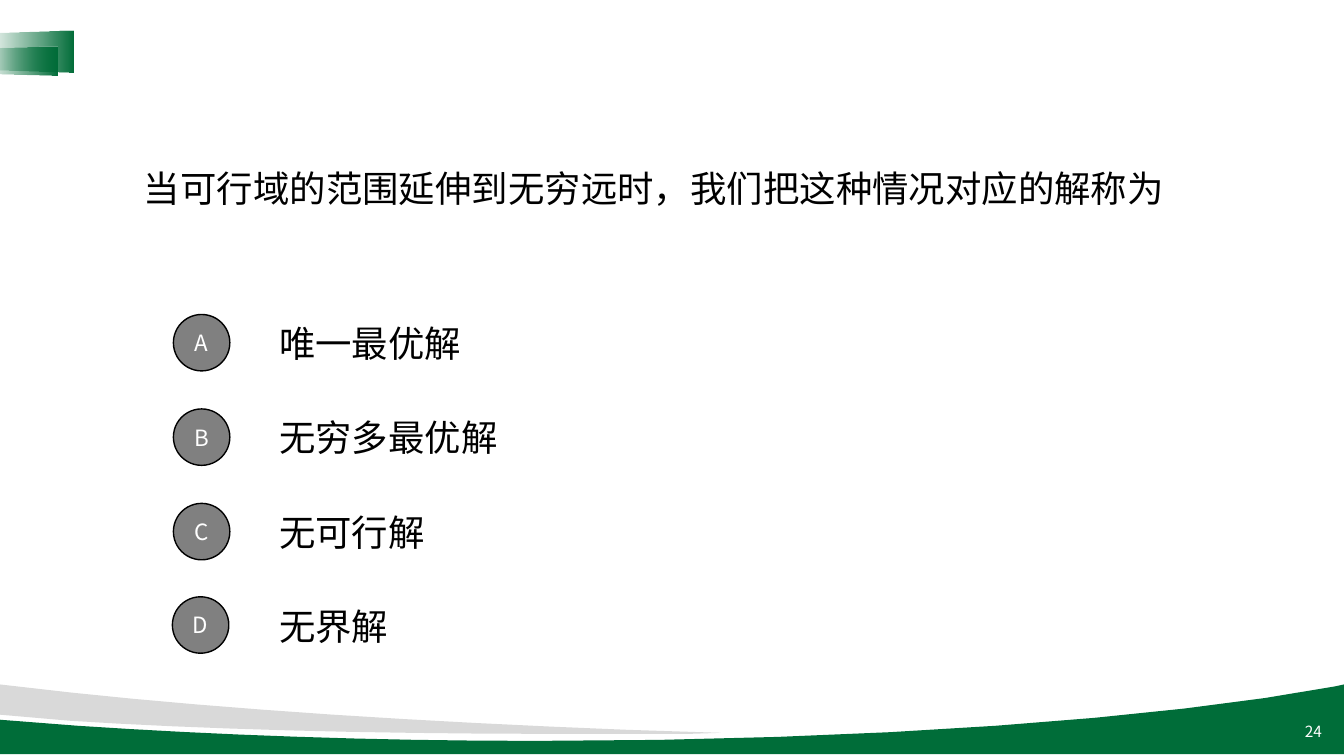
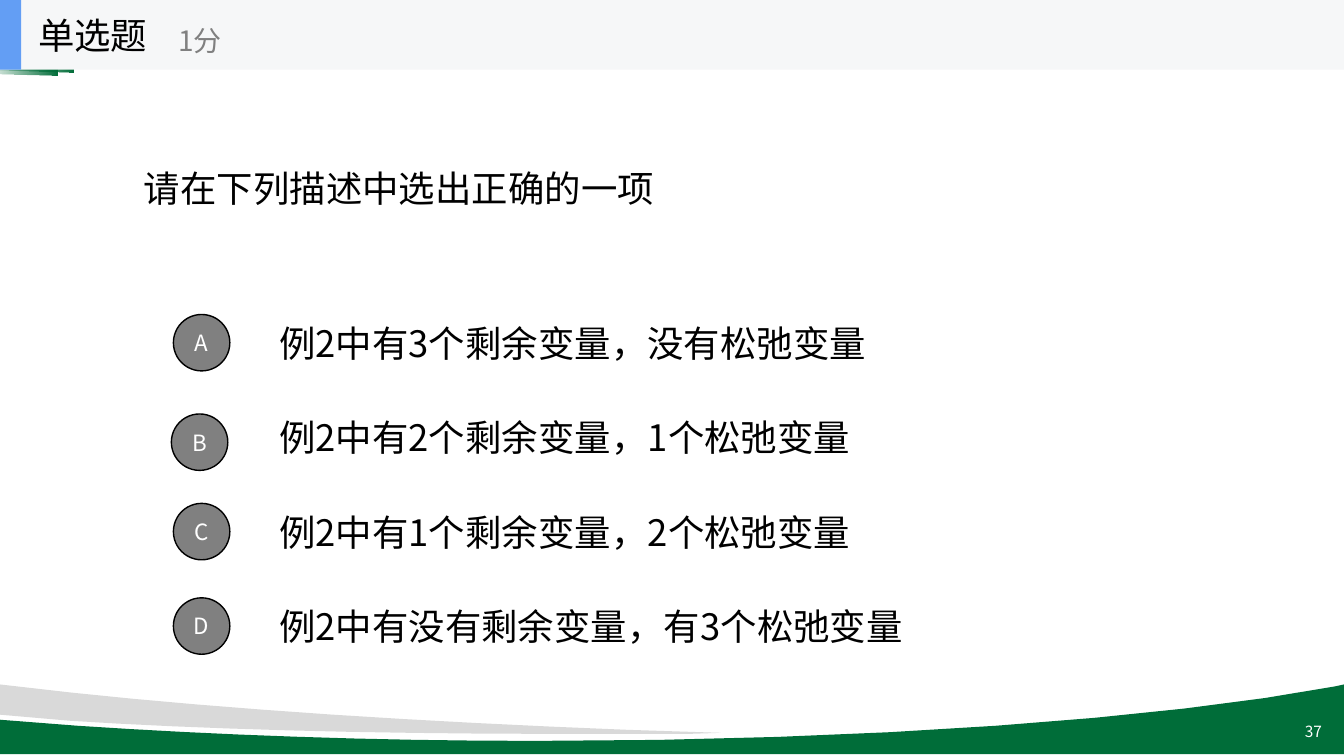
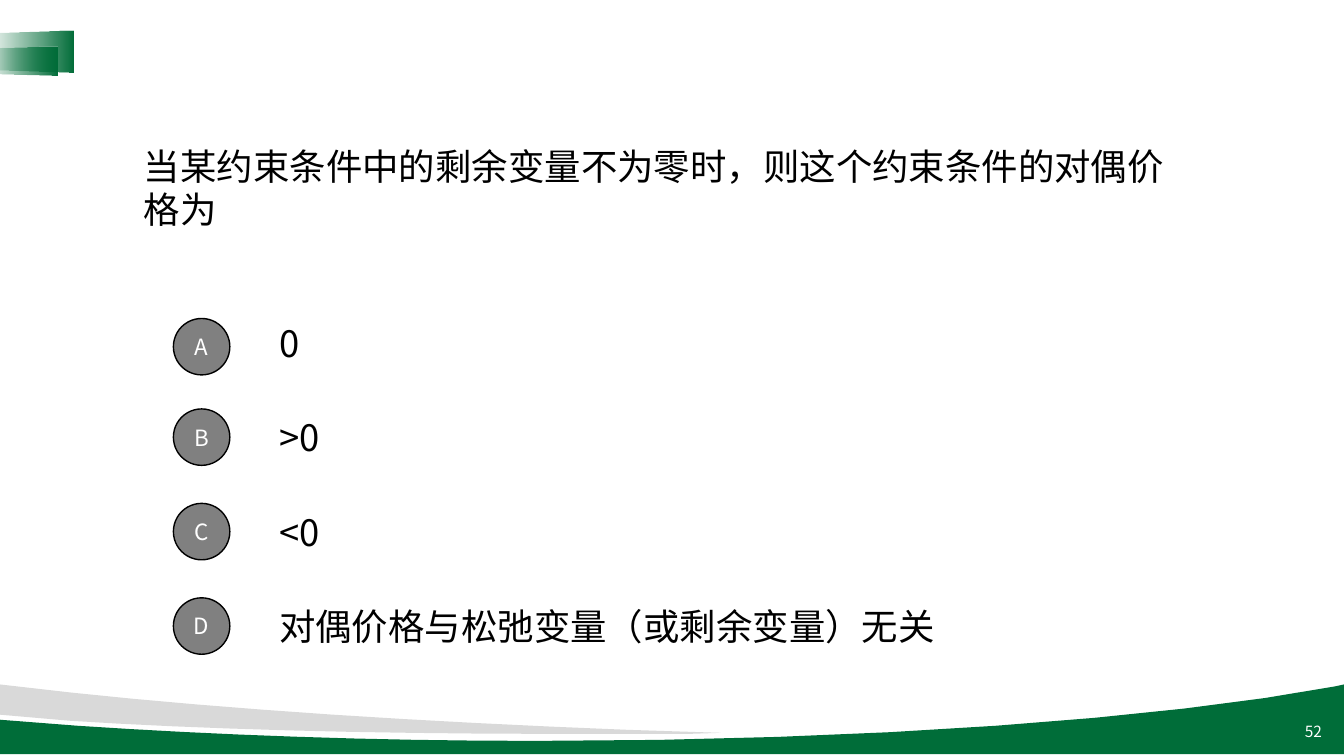
import lxml.etree
import pptx
import pptx.dml.color
import pptx.enum.shapes
import pptx.enum.text
import pptx.oxml.ns
import pptx.util

Inches = pptx.util.Inches
RGBColor = pptx.dml.color.RGBColor
SHAPE = pptx.enum.shapes.MSO_SHAPE
ALIGN = pptx.enum.text.PP_ALIGN
ANCHOR = pptx.enum.text.MSO_ANCHOR
qn = pptx.oxml.ns.qn

FONT = "Noto Sans CJK SC"
GREEN = RGBColor(0x00, 0x6D, 0x39)
SILVER = RGBColor(0xD9, 0xD9, 0xD9)
GRAY = RGBColor(0x80, 0x80, 0x80)
PALE = RGBColor(0xF6, 0xF7, 0xF8)
BLUE = RGBColor(0x63, 0x9E, 0xF4)
BLACK = RGBColor(0x00, 0x00, 0x00)
WHITE = RGBColor(0xFF, 0xFF, 0xFF)

WIDTH, HEIGHT = 13.33, 7.5
CURVE_STEPS = 8
OPTION_PITCH = 0.937
BADGE_SIZE = 0.56

# Each outline is a start point, then line ends (2 numbers) and cubic curves (6 numbers).
GREEN_WAVE = [
    (13.33, 6.79), (13.33, 7.48), (0, 7.48), (0, 7.14), (0.77, 7.2),
    (2.12, 7.29, 3.67, 7.35, 5.32, 7.35),
    (8.62, 7.35, 11.53, 7.13, 13.24, 6.81),
]
SILVER_WAVE = [
    (0, 6.79), (0.7, 6.87), (2.29, 7.04, 4.17, 7.16, 6.22, 7.24),
    (7.15, 7.27), (6.84, 7.28), (6.4, 7.28, 5.94, 7.28, 5.48, 7.28),
    (3.61, 7.28, 1.92, 7.23, 0.69, 7.15), (0, 7.09),
]

# Shifts move the badge of a letter by (x, y) from its regular place.
QUESTIONS = [
    dict(number=24, question="当可行域的范围延伸到无穷远时，我们把这种情况对应的解称为",
         options=["唯一最优解", "无穷多最优解", "无可行解", "无界解"],
         shifts={"D": (-0.01, -0.01)}),
    dict(number=37, question="请在下列描述中选出正确的一项",
         options=["例2中有3个剩余变量，没有松弛变量", "例2中有2个剩余变量，1个松弛变量",
                  "例2中有1个剩余变量，2个松弛变量", "例2中有没有剩余变量，有3个松弛变量"],
         shifts={"B": (-0.02, 0.05)}, heading=("单选题", "1分")),
    dict(number=52, question="当某约束条件中的剩余变量不为零时，则这个约束条件的对偶价格为",
         options=["0", ">0", "<0", "对偶价格与松弛变量（或剩余变量）无关"],
         shifts={"A": (0, 0.04)}),
]


def write(shape, text, size=26, color=BLACK, align=ALIGN.LEFT):
    frame = shape.text_frame
    frame.word_wrap = True
    frame.vertical_anchor = ANCHOR.MIDDLE
    para = frame.paragraphs[0]
    para.alignment = align
    span = para.add_run()
    span.text = text
    span.font.size = pptx.util.Pt(size)
    span.font.color.rgb = color
    span.font.name = FONT
    lxml.etree.SubElement(span.font._element, qn("a:ea"), typeface=FONT)


def add_text(page, box, text, **style):
    write(page.shapes.add_textbox(*map(Inches, box)), text, **style)


def add_shape(page, kind, box, fill, line=None):
    shape = page.shapes.add_shape(kind, *map(Inches, box))
    paint(shape, fill, line)
    return shape


def paint(shape, fill, line=None):
    shape.shadow.inherit = False
    shape.fill.solid()
    shape.fill.fore_color.rgb = fill
    if line is None:
        shape.line.fill.background()
    else:
        shape.line.color.rgb = line
        shape.line.width = pptx.util.Pt(1)


def curve_points(start, curve):
    """Return points along a cubic curve, without its start."""
    controls = [start, curve[:2], curve[2:4], curve[4:]]
    points = []
    for step in range(1, CURVE_STEPS + 1):
        t = step / CURVE_STEPS
        weights = [(1 - t) ** 3, 3 * t * (1 - t) ** 2, 3 * t * t * (1 - t), t ** 3]
        points.append(tuple(sum(w * c[axis] for w, c in zip(weights, controls))
                            for axis in (0, 1)))
    return points


def add_wave(page, outline, fill):
    points = [outline[0]]
    for part in outline[1:]:
        points += [part] if len(part) == 2 else curve_points(points[-1], part)
    corners = [(Inches(x), Inches(y)) for x, y in points]
    builder = page.shapes.build_freeform(*corners[0])
    builder.add_line_segments(corners[1:], close=True)
    paint(builder.convert_to_shape(), fill)


def add_ribbon(page, box):
    """Add a trapezoid lying on its side that fades out to the left."""
    ribbon = add_shape(page, SHAPE.TRAPEZOID, box, GREEN)
    ribbon.rotation = 270
    ribbon.adjustments[0] = 0.072
    ribbon.fill.gradient()
    ribbon.fill.gradient_angle = 0
    for stop in ribbon.fill.gradient_stops:
        stop.color.rgb = GREEN
    gradient = ribbon._element.spPr.find(qn("a:gradFill"))
    gradient.set("rotWithShape", "0")
    first_color = gradient.find(".//" + qn("a:srgbClr"))
    lxml.etree.SubElement(first_color, qn("a:alpha"), val="0")


def add_frame(page, number):
    """Add the waves, ribbons and page number that all slides share."""
    add_wave(page, GREEN_WAVE, GREEN)
    add_wave(page, SILVER_WAVE, SILVER)
    add_ribbon(page, (0.08, 0.07, 0.41, 0.88))
    add_ribbon(page, (0.06, 0.24, 0.29, 0.73))
    add_text(page, (10.21, 7.06, 3, 0.4), str(number), size=11, color=WHITE,
             align=ALIGN.RIGHT)


def add_option(page, left, top, letter, text, shift):
    badge_box = (left + shift[0], top + 0.07 + shift[1], BADGE_SIZE, BADGE_SIZE)
    badge = add_shape(page, SHAPE.OVAL, badge_box, GRAY, BLACK)
    write(badge, letter, size=16, color=WHITE, align=ALIGN.CENTER)
    add_text(page, (left + 0.95, top, 9.33, 0.7), text)


def add_heading(page, left, top, title, score):
    add_shape(page, SHAPE.RECTANGLE, (left, top, WIDTH, 0.69), PALE)
    add_shape(page, SHAPE.RECTANGLE, (left, top, 0.21, 0.69), BLUE)
    add_text(page, (left + 0.28, top, 2.08, 0.69), title)
    add_text(page, (left + 1.67, top + 0.12, 2.5, 0.56), score, size=20, color=GRAY)


def add_question_slide(deck, number, question, options, shifts, heading=None):
    page = deck.slides.add_slide(deck.slide_layouts[6])
    add_frame(page, number)
    add_text(page, (1.33, 0.69, 10.67, 2.34), question)
    for index, (letter, text) in enumerate(zip("ABCD", options)):
        add_option(page, 1.72, 3.05 + index * OPTION_PITCH, letter, text,
                   shifts.get(letter, (0, 0)))
    if heading:
        add_heading(page, 0, 0, *heading)


def main():
    deck = pptx.Presentation()
    deck.slide_width = Inches(WIDTH)
    deck.slide_height = Inches(HEIGHT)
    for content in QUESTIONS:
        add_question_slide(deck, **content)
    deck.save("out.pptx")


if __name__ == "__main__":
    main()
